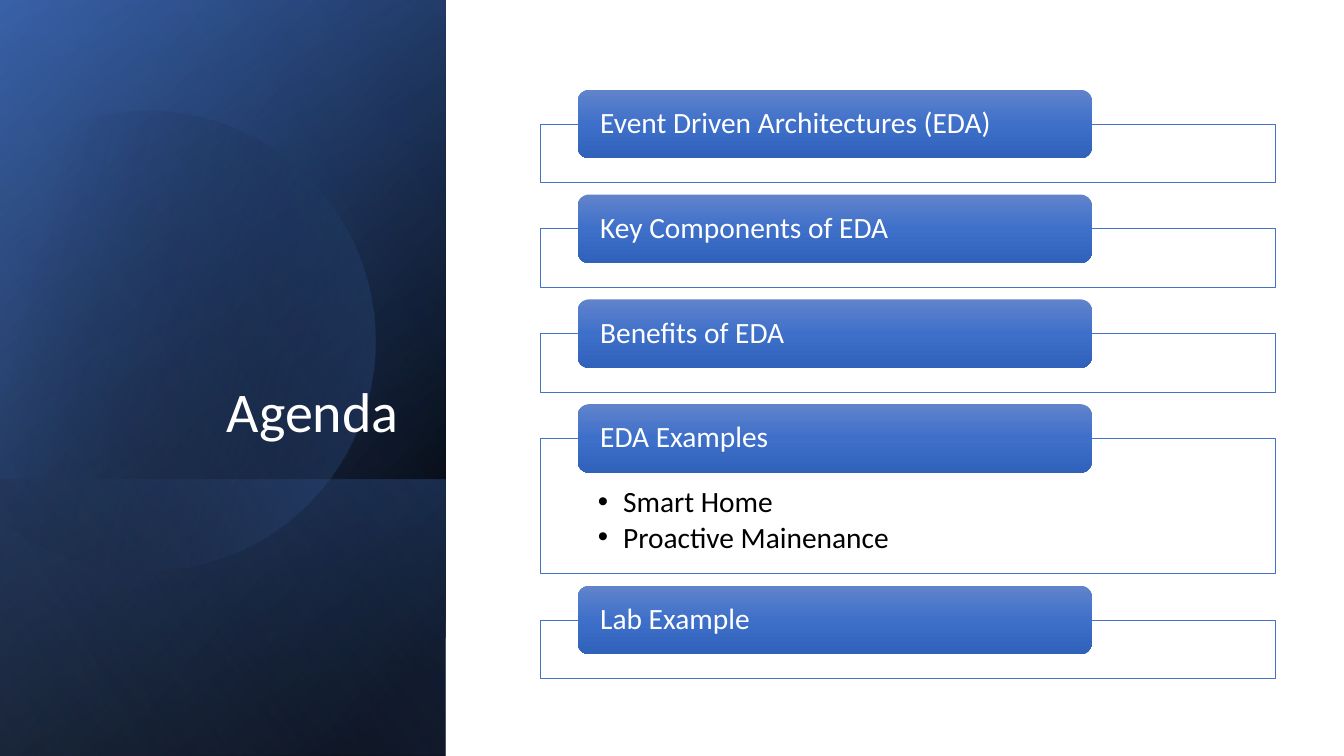
from math import cos, radians, sin

from lxml import etree
from pptx import Presentation
from pptx.dml.color import RGBColor
from pptx.enum.shapes import MSO_SHAPE
from pptx.enum.text import MSO_ANCHOR, PP_ALIGN
from pptx.oxml.ns import qn
from pptx.util import Inches, Pt

RECT, ROUND = MSO_SHAPE.RECTANGLE, MSO_SHAPE.ROUNDED_RECTANGLE
TOP, MIDDLE, BOTTOM = MSO_ANCHOR.TOP, MSO_ANCHOR.MIDDLE, MSO_ANCHOR.BOTTOM
LEFT, RIGHT = PP_ALIGN.LEFT, PP_ALIGN.RIGHT
FONT = "Calibri"
HEX = {"white": "FFFFFF", "black": "000000", "blue": "4472C4",
       "navy": "2F5597", "pale": "8FAADC",
       "light": "6183CB", "mid": "3E70CA", "deep": "3062BB"}

# Side panel layers: box, angle, stops of (position, colour, opacity)
PANEL = (-1.54, 1.54, 7.5, 4.42)
BASE = [(PANEL, 50, [(8, "black", 100), (100, "navy", 100)]),
        (PANEL, 30, [(0, "black", 0), (99, "blue", 46)]),
        ((0.84, 3.92, 2.74, 4.42), 130, [(2, "blue", 29), (100, "black", 30)])]
SHEEN = (PANEL, 120, [(0, "black", 0), (99, "pale", 11)])
GLOW = [(29, "black", 0), (100, "blue", 43)]
BAR = [(0, "light", 100), (50, "mid", 100), (100, "deep", 100)]

# Disc cut off at the left: each curve has two handles and an end
DISC = (1.49, 1.1)
CURVES = [[(2.46, 1.12), (3.35, 1.77), (3.63, 2.75)],
          [(3.98, 3.97), (3.28, 5.23), (2.07, 5.58)],
          [(1.31, 5.8), (0.53, 5.61), (-0.03, 5.14)],
          [(-0.15, 5.03)], [(-0.15, 1.75)], [(0, 1.61)],
          [(0.23, 1.42), (0.5, 1.28), (0.8, 1.19)],
          [(1.03, 1.13), (1.26, 1.1), (1.49, 1.1)]]
CENTER, TILT = (1.58, 3.35), 16.1

TOPICS = [("Event Driven Architectures (EDA)", []),
          ("Key Components of EDA", []),
          ("Benefits of EDA", []),
          ("EDA Examples", ["Smart Home", "Proactive Mainenance"]),
          ("Lab Example", [])]
START, GAP, BAR_H, LOW, TALL = 0.89, 0.12, 0.68, 0.58, 1.34


def rgb(name):
    return RGBColor.from_string(HEX[name])


def blend(shape, angle, stops):
    """Fill a shape with a linear gradient and drop its outline."""
    shape.shadow.inherit = False
    shape.line.fill.background()
    shape.fill.solid()
    old = shape._element.spPr.find(qn("a:solidFill"))
    grad = etree.Element(qn("a:gradFill"), rotWithShape="1")
    marks = etree.SubElement(grad, qn("a:gsLst"))
    for pos, name, alpha in stops:
        mark = etree.SubElement(marks, qn("a:gs"), pos=str(pos * 1000))
        tint = etree.SubElement(mark, qn("a:srgbClr"), val=HEX[name])
        if alpha < 100:
            etree.SubElement(tint, qn("a:alpha"), val=str(alpha * 1000))
    etree.SubElement(grad, qn("a:lin"), ang=str(angle * 60000), scaled="0")
    old.getparent().replace(old, grad)


def add_layer(slide, box, angle, stops):
    shape = slide.shapes.add_shape(RECT, *map(Inches, box))
    shape.rotation = 90
    shape._element.spPr.find(qn("a:xfrm")).set("flipH", "1")
    blend(shape, angle, stops)


def trace(start, curves, steps=24):
    """Return points along a chain of lines and cubic curves."""
    points = [start]
    for curve in curves:
        if len(curve) == 1:
            points += curve
            continue
        knots = [points[-1], *curve]
        for i in range(1, steps + 1):
            t = i / steps
            u = 1 - t
            parts = (u ** 3, 3 * u * u * t, 3 * u * t * t, t ** 3)
            points.append(tuple(sum(w * k[axis] for w, k in zip(parts, knots))
                                for axis in (0, 1)))
    return points


def turn(point):
    """Turn a point about the disc's centre, against the shape's rotation."""
    a = radians(TILT)
    x, y = point[0] - CENTER[0], point[1] - CENTER[1]
    return (Inches(CENTER[0] + x * cos(a) - y * sin(a)),
            Inches(CENTER[1] + x * sin(a) + y * cos(a)))


def add_disc(slide):
    points = [turn(p) for p in trace(DISC, CURVES)]
    form = slide.shapes.build_freeform(*points[0], scale=1.0)
    form.add_line_segments(points[1:], close=True)
    disc = form.convert_to_shape()
    disc.rotation = 360 - TILT
    blend(disc, 30, GLOW)


def write(shape, lines, size, color, anchor, align=LEFT, pads=None,
          after=0, bullet=False):
    frame = shape.text_frame
    frame.word_wrap = True
    frame.vertical_anchor = anchor
    if pads:
        (frame.margin_left, frame.margin_top,
         frame.margin_right, frame.margin_bottom) = map(Inches, pads)
    for i, line in enumerate(lines):
        para = frame.add_paragraph() if i else frame.paragraphs[0]
        para.alignment = align
        para.line_spacing = 0.9
        para.space_after = Pt(after)
        if bullet:
            para.level = 1
            props = para._p.get_or_add_pPr()
            props.set("marL", str(Inches(0.25)))
            props.set("indent", str(Inches(-0.25)))
            etree.SubElement(props, qn("a:buFont"), typeface="Arial")
            etree.SubElement(props, qn("a:buChar"), char="•")
        run = para.add_run()
        run.text = line
        run.font.name = FONT
        run.font.size = Pt(size)
        run.font.color.rgb = rgb(color)


def add_topic(slide, top, name, items):
    """Draw one framed topic and return the top of the next one."""
    edge = top + BAR_H / 2
    height = TALL if items else LOW
    frame = slide.shapes.add_shape(
        RECT, *map(Inches, (5.36, edge, 7.29, height)))
    frame.shadow.inherit = False
    frame.fill.solid()
    frame.fill.fore_color.rgb = rgb("white")
    frame.line.color.rgb = rgb("blue")
    frame.line.width = Pt(0.5)
    write(frame, items, 21, "black", TOP, pads=(0.57, 0.48, 0.57, 0.16),
          after=3, bullet=True)
    bar = slide.shapes.add_shape(
        ROUND, *map(Inches, (5.73, top, 5.1, BAR_H)))
    blend(bar, 90, BAR)
    write(bar, [name], 21, "white", MIDDLE, pads=(0.19, 0, 0.19, 0))
    return edge + height + GAP


def main():
    deck = Presentation()
    deck.slide_width, deck.slide_height = Inches(13.33), Inches(7.5)
    slide = deck.slides.add_slide(deck.slide_layouts[6])

    # Side panel
    for layer in BASE:
        add_layer(slide, *layer)
    add_disc(slide)
    add_layer(slide, *SHEEN)

    # Title
    title = slide.shapes.add_textbox(*map(Inches, (0.64, 1.84, 3.41, 2.62)))
    write(title, ["Agenda"], 40, "white", BOTTOM, RIGHT, after=6)

    # Topics
    top = START
    for name, items in TOPICS:
        top = add_topic(slide, top, name, items)

    deck.save("out.pptx")


if __name__ == "__main__":
    main()
